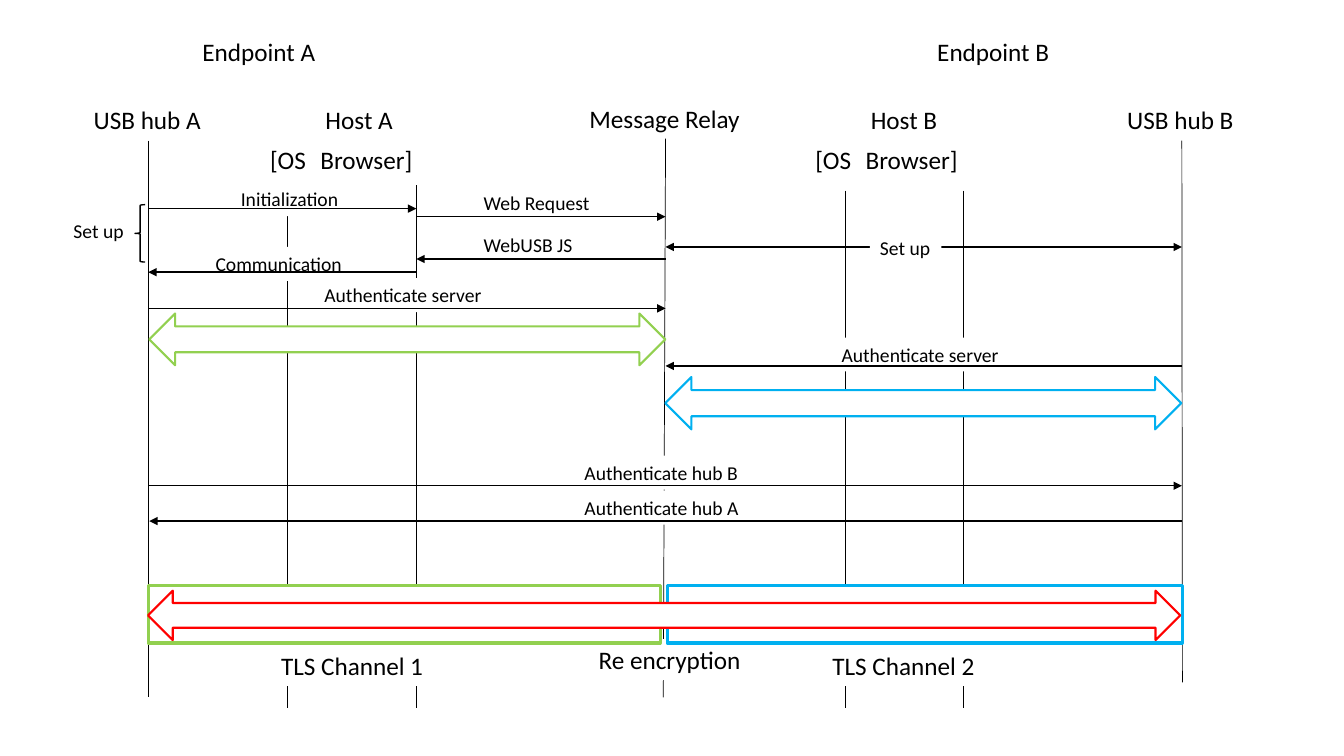
from lxml.etree import SubElement
from pptx import Presentation
from pptx.dml.color import RGBColor
from pptx.enum.shapes import MSO_CONNECTOR, MSO_SHAPE
from pptx.oxml.ns import qn
from pptx.util import Pt


def paint(fill, color):
    fill.solid()
    fill.fore_color.rgb = RGBColor.from_string(color)


def add_line(start_x, start_y, end_x, end_y, weight=1, arrows=()):
    line = page.shapes.add_connector(
        MSO_CONNECTOR.STRAIGHT, Pt(start_x), Pt(start_y), Pt(end_x), Pt(end_y))
    paint(line.line.fill, "000000")
    line.line.width = Pt(weight)
    outline = line.line._get_or_add_ln()
    for end in arrows:
        SubElement(outline, qn(f"a:{end}"), type="triangle")
    SubElement(line._element.spPr, qn("a:effectLst"))
    return line


deck = Presentation()
deck.slide_width, deck.slide_height = Pt(960), Pt(540)
page = deck.slides.add_slide(deck.slide_layouts[6])

# Positions of the participants
HUB_A, OS_A, BROWSER_A, RELAY = 105.9, 205.2, 297.4, 475.4
OS_B, BROWSER_B, HUB_B = 604.1, 688.3, 844.2
HOST_SHIFT = 389.5

# Lifelines
lifelines = {}
for name, start_x, top, end_x, bottom in [
    ("Message Relay", RELAY, 99, 473.8, 498.2),
    ("USB hub A", HUB_A, 100.4, HUB_A, 498.2),
    ("OS A", OS_A, 132.5, OS_A, 505.4),
    ("Browser A", BROWSER_A, 132.5, BROWSER_A, 505.4),
    ("OS B", OS_B, 136.1, OS_B, 505.4),
    ("Browser B", BROWSER_B, 136.1, BROWSER_B, 505.4),
    ("USB hub B", HUB_B, 100.4, 844.6, 487.4),
]:
    lifelines[name] = add_line(start_x, top, end_x, bottom, 0.5)

# Two-way set-up message, which runs behind its label
add_line(RELAY, 176.4, HUB_B, 176.4, arrows=("headEnd", "tailEnd"))

# Labels: text, left, top, width, size, white backing
labels = {}
for text, left, top, width, size, backed in [
    ("Endpoint A", 137.5, 22.3, 95.8, 18, False),
    ("Endpoint B", 662.4, 22.3, 95.8, 18, False),
    ("USB hub A", 59.8, 71.3, 92.2, 18, False),
    ("USB hub B", 798.1, 71.3, 92.2, 18, False),
    ("Host A", 225.4, 71.3, 63.4, 18, False),
    ("Host B", 225.4 + HOST_SHIFT, 71.3, 63.4, 18, False),
    ("[OS\tBrowser]", 185.8, 99.4, 153.4, 18, False),
    ("[OS\tBrowser]", 185.8 + HOST_SHIFT, 99.4, 153.4, 18, False),
    ("Message Relay", 413.9, 69.9, 123, 18, False),
    ("Web Request", 338.4, 132.5, 90.7, 14, False),
    ("WebUSB JS", 338.4, 162.7, 90.7, 14, False),
    ("Set up", 45.4, 152.6, 51.1, 14, False),
    ("Set up", 621.4, 164.9, 51.1, 14, True),
    ("Initialization", 164.9, 130.3, 85, 14, True),
    ("Communication", 146.9, 176.4, 110.9, 14, True),
    ("Authenticate server", 224.6, 198.7, 128.2, 14, True),
    ("Authenticate server", 594, 241.2, 128.2, 14, True),
    ("Authenticate hub B", 410.4, 325.4, 128.2, 14, True),
    ("Authenticate hub A", 410.4, 350.6, 128.2, 14, True),
    ("Re encryption", 420.5, 456.5, 121.7, 18, True),
    ("TLS Channel 1", 193.7, 460.8, 117.4, 18, True),
    ("TLS Channel 2", 587.5, 460.8, 117.4, 18, True),
]:
    height = 29.1 if size == 18 else 24.2
    box = page.shapes.add_textbox(Pt(left), Pt(top), Pt(width), Pt(height))
    box.text_frame.word_wrap = False
    if backed:
        paint(box.fill, "FFFFFF")
    para = box.text_frame.paragraphs[0]
    span = para.add_run()
    span.text = text
    for attribute, value in {"name": "Calibri", "size": Pt(size)}.items():
        setattr(span.font, attribute, value)
    paint(span.font.fill, "000000")
    labels[text] = box

# Lifelines hang from the participants' names
for name in ("USB hub A", "Message Relay", "USB hub B"):
    lifelines[name].begin_connect(labels[name], 2)

# One-way messages
for sender, receiver, level in [
    (HUB_A, BROWSER_A, 149),
    (BROWSER_A, RELAY, 154.8),
    (RELAY, BROWSER_A, 185),
    (BROWSER_A, HUB_A, 194.4),
    (HUB_A, RELAY, 220.3),
    (HUB_B, RELAY, 261.4),
    (HUB_A, HUB_B, 347),
    (HUB_B, HUB_A + 0.7, 372.2),
]:
    add_line(sender, level, receiver, level, arrows=("tailEnd",))

# Set-up brace, encrypted channels and end-to-end channel
GREEN, BLUE, RED = "92D050", "00B0F0", "FF0000"
for kind, left, top, width, height, color, weight in [
    (MSO_SHAPE.LEFT_BRACE, 96.5, 146.2, 7.2, 41, "000000", 1),
    (MSO_SHAPE.LEFT_RIGHT_ARROW, 106.6, 223.9, 368.6, 37, GREEN, 1.5),
    (MSO_SHAPE.LEFT_RIGHT_ARROW, 475.2, 269.3, 368.6, 37.4, BLUE, 1.5),
    (MSO_SHAPE.RECTANGLE, 105.8, 418.3, 365.8, 41, GREEN, 2.25),
    (MSO_SHAPE.RECTANGLE, 476.6, 418.3, 367.9, 41, BLUE, 2.25),
    (MSO_SHAPE.LEFT_RIGHT_ARROW, 105.8, 421.9, 737.3, 35.3, RED, 1.5),
]:
    shape = page.shapes.add_shape(kind, Pt(left), Pt(top), Pt(width), Pt(height))
    shape.shadow.inherit = False
    if kind == MSO_SHAPE.LEFT_BRACE:
        shape.fill.background()
    else:
        paint(shape.fill, "FFFFFF")
    paint(shape.line.fill, color)
    shape.line.width = Pt(weight)

deck.save("out.pptx")
